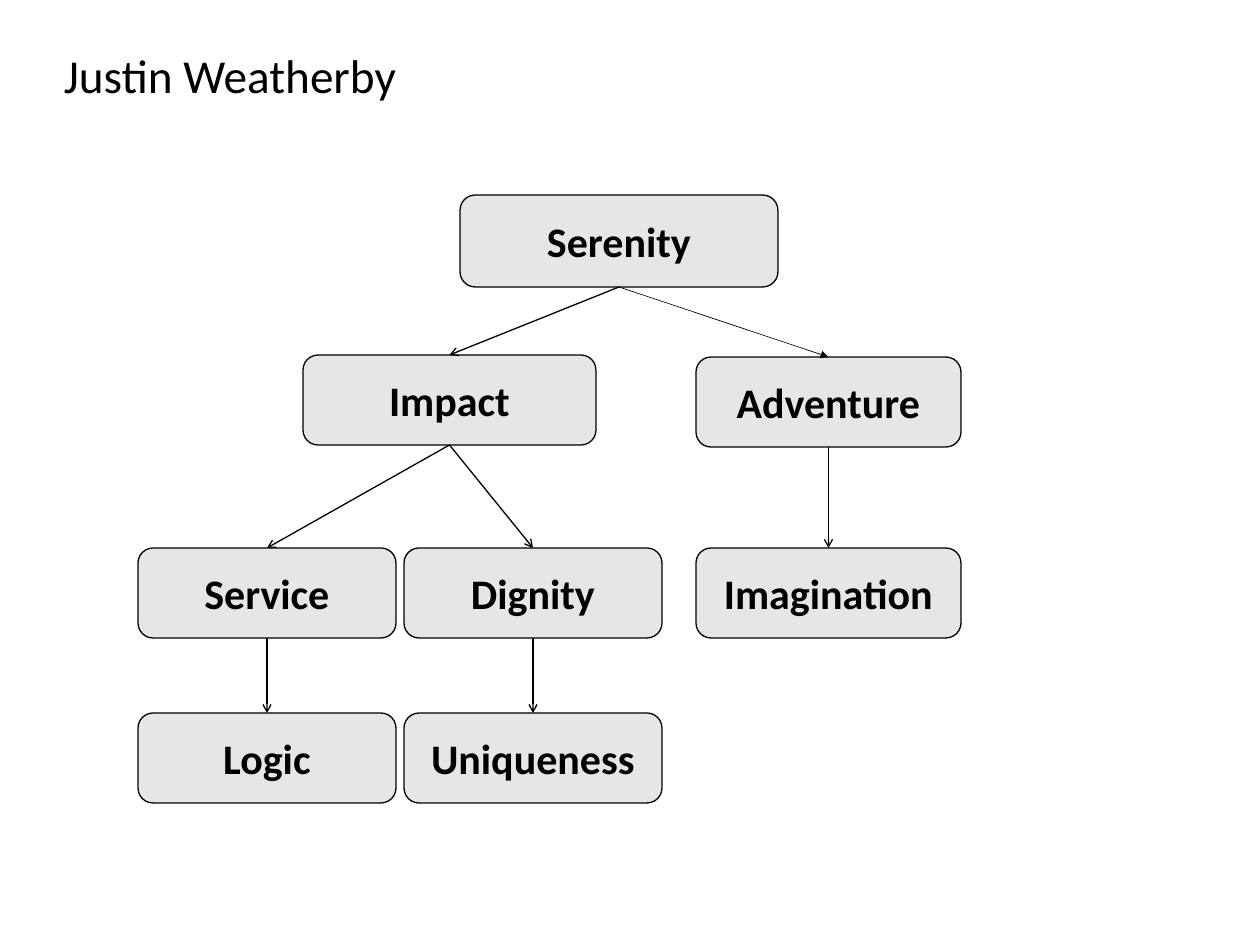
from lxml import etree
from pptx import Presentation
from pptx.dml.color import RGBColor
from pptx.enum.shapes import MSO_CONNECTOR, MSO_SHAPE
from pptx.enum.text import MSO_ANCHOR, MSO_AUTO_SIZE, PP_ALIGN
from pptx.oxml.ns import qn
from pptx.util import Emu, Pt

STRAIGHT = MSO_CONNECTOR.STRAIGHT
ROUNDED = MSO_SHAPE.ROUNDED_RECTANGLE
MIDDLE = MSO_ANCHOR.MIDDLE
NO_FIT = MSO_AUTO_SIZE.NONE
CENTER = PP_ALIGN.CENTER

EMU_PER_PX = 914400 / 94.5
TITLE_ONLY = 5
TOP_SITE, BOTTOM_SITE = 0, 2
BLACK, GREY = "000000", "E7E6E6"

NODE_HEIGHT = 90
LEAF_WIDTH, RIGHT_WIDTH = 258, 265
LEFT_X, MIDDLE_X, RIGHT_X = 138, 404, 696
THIRD_Y, FOURTH_Y = 548, 713

NODES = {
    "Serenity": (460, 195, 318, 92),
    "Impact": (303, 355, 293, NODE_HEIGHT),
    "Adventure": (RIGHT_X, 357, RIGHT_WIDTH, NODE_HEIGHT),
    "Service": (LEFT_X, THIRD_Y, LEAF_WIDTH, NODE_HEIGHT),
    "Dignity": (MIDDLE_X, THIRD_Y, LEAF_WIDTH, NODE_HEIGHT),
    "Imagination": (RIGHT_X, THIRD_Y, RIGHT_WIDTH, NODE_HEIGHT),
    "Logic": (LEFT_X, FOURTH_Y, LEAF_WIDTH, NODE_HEIGHT),
    "Uniqueness": (MIDDLE_X, FOURTH_Y, LEAF_WIDTH, NODE_HEIGHT),
}

LINKS = [
    ("Serenity", "Impact", 1, "arrow"),
    ("Serenity", "Adventure", 0.5, "triangle"),
    ("Impact", "Service", 1, "arrow"),
    ("Impact", "Dignity", 1, "arrow"),
    ("Adventure", "Imagination", 1, "arrow"),
    ("Service", "Logic", 1, "arrow"),
    ("Dignity", "Uniqueness", 1, "arrow"),
]


def px(length):
    return Emu(round(length * EMU_PER_PX))


def color(hex_code):
    return RGBColor.from_string(hex_code)


def write_text(shape, text, size=32, bold=False, font="Calibri", ink=BLACK):
    frame = shape.text_frame
    frame.auto_size = NO_FIT
    frame.word_wrap = True
    frame.vertical_anchor = MIDDLE
    para = frame.paragraphs[0]
    para.alignment = CENTER
    span = para.add_run()
    span.text = text
    span.font.name = font
    span.font.size = Pt(size)
    span.font.bold = bold
    span.font.color.rgb = color(ink)


def set_line(shape, width):
    shape.line.color.rgb = color(BLACK)
    shape.line.width = Pt(width)


def add_title(page, text):
    title = page.shapes.title
    title.left, title.top, title.width, title.height = map(px, (0, 41, 460, 67))
    write_text(title, text, size=36)


def add_node(page, text, bounds):
    box = page.shapes.add_shape(ROUNDED, *map(px, bounds))
    box.shadow.inherit = False
    box.fill.solid()
    box.fill.fore_color.rgb = color(GREY)
    set_line(box, 1)
    write_text(box, text, bold=True)
    return box


def add_arrow(page, parent, child, width, head):
    arrow = page.shapes.add_connector(STRAIGHT, 0, 0, 0, 0)
    arrow.begin_connect(parent, BOTTOM_SITE)
    arrow.end_connect(child, TOP_SITE)
    set_line(arrow, width)
    etree.SubElement(arrow.line._get_or_add_ln(), qn("a:tailEnd"), type=head)
    etree.SubElement(arrow._element.spPr, qn("a:effectLst"))


def main():
    deck = Presentation()
    deck.slide_width, deck.slide_height = px(1260), px(945)
    page = deck.slides.add_slide(deck.slide_layouts[TITLE_ONLY])
    add_title(page, "Justin Weatherby")
    boxes = {text: add_node(page, text, bounds) for text, bounds in NODES.items()}
    for parent, child, width, head in LINKS:
        add_arrow(page, boxes[parent], boxes[child], width, head)
    deck.save("out.pptx")


if __name__ == "__main__":
    main()
